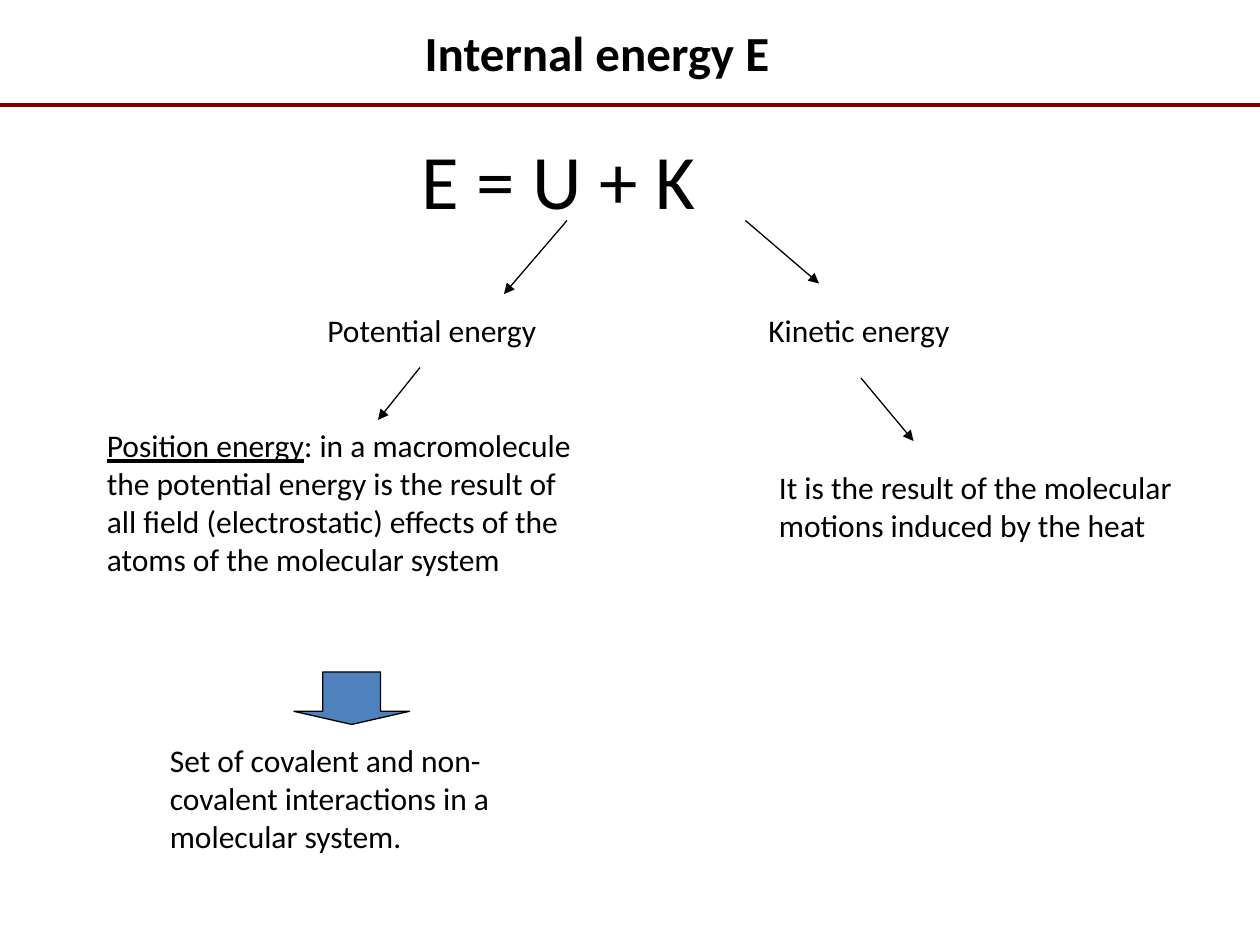
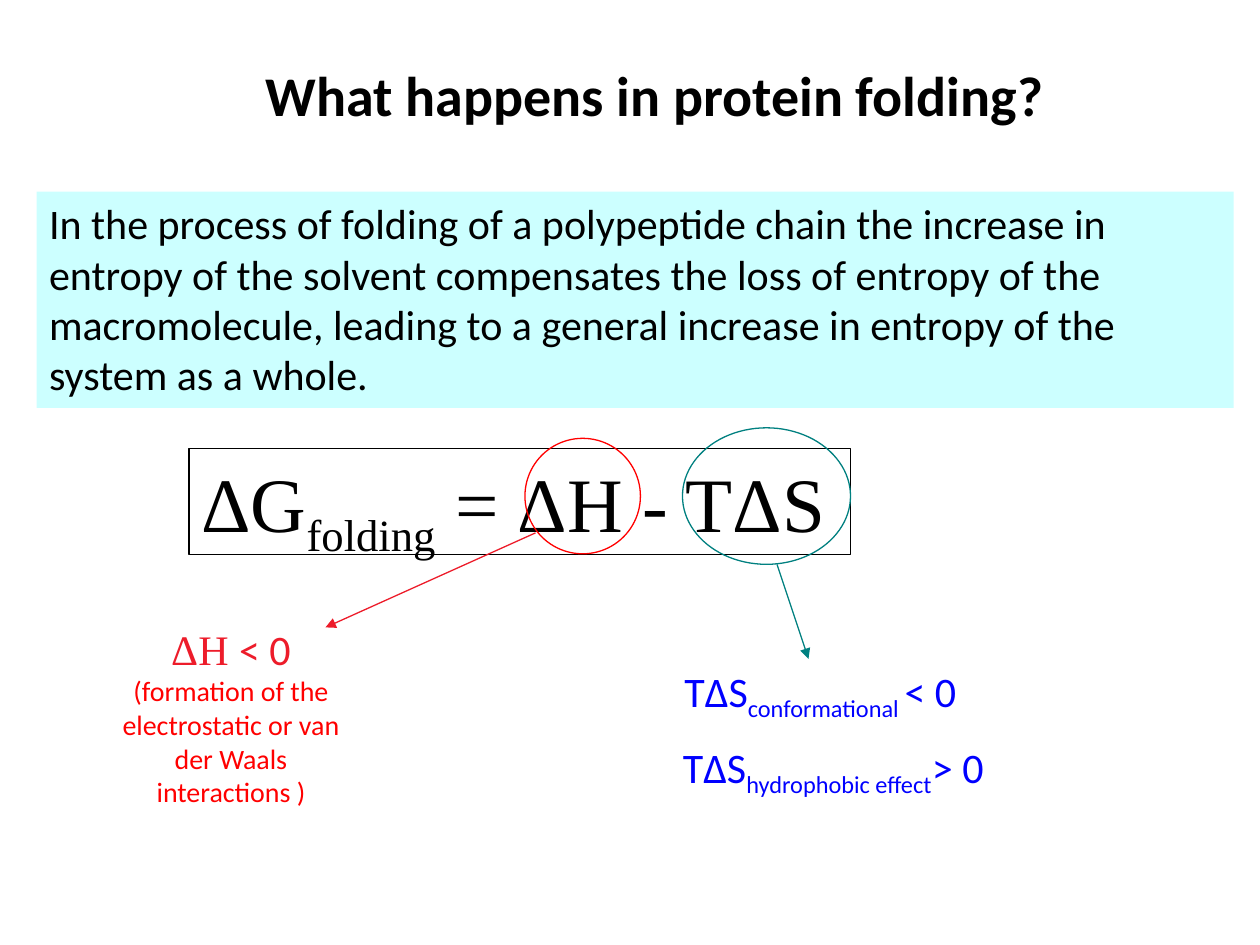
"""Build two slides on internal energy and protein folding."""
from lxml import etree
from pptx import Presentation
from pptx import util as u
from pptx.dml.color import RGBColor
from pptx.enum import shapes, text
from pptx.oxml.ns import qn

COLUMNS, ROWS = 120, 90
WIDTH, HEIGHT = u.Inches(10), u.Inches(7.5)
TITLE_ONLY = 5
SANS, SERIF = "Calibri", "Times New Roman"

BLACK = RGBColor(0x00, 0x00, 0x00)
MAROON = RGBColor(0x80, 0x00, 0x00)
STEEL = RGBColor(0x4F, 0x81, 0xBD)
PALE_CYAN = RGBColor(0xCC, 0xFF, 0xFF)
RED = RGBColor(0xFF, 0x00, 0x00)
CRIMSON = RGBColor(0xED, 0x1C, 0x2A)
TEAL = RGBColor(0x00, 0x80, 0x80)
BLUE = RGBColor(0x00, 0x00, 0xFF)


def x(column):
    """Return the distance of a grid column from the left edge."""
    return round(WIDTH * column / COLUMNS)


def y(row):
    """Return the distance of a grid row from the top edge."""
    return round(HEIGHT * row / ROWS)


def box(area):
    """Turn (column, row, columns, rows) into slide lengths."""
    column, row, columns, rows = area
    return x(column), y(row), x(columns), y(rows)


def style(run, size, color=BLACK, name=SANS, bold=False, underline=False, sub=False):
    """Format one run."""
    font = run.font
    font.size, font.name, font.bold = u.Pt(size), name, bold
    font.color.rgb = color
    if underline:
        font.underline = True
    if sub:
        run._r.get_or_add_rPr().set("baseline", "-25000")


def write(frame, paragraphs, align=text.PP_ALIGN.LEFT):
    """Fill a frame with paragraphs made of (wording, format) pieces."""
    frame.word_wrap = True
    frame.auto_size = text.MSO_AUTO_SIZE.NONE
    frame.vertical_anchor = text.MSO_ANCHOR.TOP
    for index, pieces in enumerate(paragraphs):
        paragraph = frame.add_paragraph() if index else frame.paragraphs[0]
        paragraph.alignment = align
        for wording, look in pieces:
            run = paragraph.add_run()
            run.text = wording
            style(run, **look)


def add_titled_slide(deck, wording, area, size):
    """Add a slide with a bold title at the given place."""
    slide = deck.slides.add_slide(deck.slide_layouts[TITLE_ONLY])
    title = slide.shapes.title
    title.left, title.top, title.width, title.height = box(area)
    write(title.text_frame, [[(wording, dict(size=size, bold=True))]])
    return slide


def add_text(slide, area, *paragraphs, align=text.PP_ALIGN.LEFT):
    """Add free text."""
    label = slide.shapes.add_textbox(*box(area))
    write(label.text_frame, paragraphs, align)


def add_figure(slide, kind, area, fill=None, outline=None):
    """Add a preset shape with an optional fill and thin outline."""
    figure = slide.shapes.add_shape(kind, *box(area))
    figure.shadow.inherit = False
    if fill is None:
        figure.fill.background()
    else:
        figure.fill.solid()
        figure.fill.fore_color.rgb = fill
    if outline is None:
        figure.line.fill.background()
    else:
        figure.line.color.rgb = outline
        figure.line.width = u.Pt(0.75)
    return figure


def add_line(slide, start, end, color=BLACK, weight=0.75, arrow=True):
    """Add a straight line, with an arrowhead at its end if wanted."""
    line = slide.shapes.add_connector(
        shapes.MSO_CONNECTOR.STRAIGHT, x(start[0]), y(start[1]), x(end[0]), y(end[1]))
    line.line.color.rgb = color
    line.line.width = u.Pt(weight)
    if arrow:
        etree.SubElement(line.line._get_or_add_ln(), qn("a:tailEnd"), type="triangle")
    etree.SubElement(line._element.spPr, qn("a:effectLst"))


def build_internal_energy(deck):
    """Split the internal energy into its potential and kinetic parts."""
    slide = add_titled_slide(deck, "Internal energy E", (39.25, 1.5, 41, 7), 28)
    add_line(slide, (0, 10), (COLUMNS, 10), MAROON, 2, arrow=False)
    add_text(slide, (39, 12, 34, 10), [("E = U + K", dict(size=44))])

    plain = dict(size=18)
    explanations = (
        ((30, 29, 35, 5), "Potential energy"),
        ((72, 29, 24, 5), "Kinetic energy"),
        ((73, 44, 40.5, 13), "It is the result of the molecular motions induced by the heat"),
        ((15, 70, 41, 13), "Set of covalent and non-covalent interactions in a molecular system."),
    )
    for area, wording in explanations:
        add_text(slide, area, [(wording, plain)])
    add_text(slide, (9, 40, 48, 21), [
        ("Position energy", dict(size=18, underline=True)),
        (": in a macromolecule the potential energy is the result of all field "
         "(electrostatic) effects of the atoms of the molecular system", plain)])

    for start, end in (((54, 21), (48, 28)), ((71, 21), (78, 27)),
                       ((40, 35), (36, 40)), ((82, 36), (87, 42))):
        add_line(slide, start, end)
    add_figure(slide, shapes.MSO_SHAPE.DOWN_ARROW, (28, 64, 11, 5), STEEL, BLACK
               ).adjustments[1] = 0.25


def build_protein_folding(deck):
    """Explain the signs of the terms in the free energy of folding."""
    slide = add_titled_slide(
        deck, "What happens in protein folding?", (24.1, 5.15, 78, 8), 32)
    statement = add_figure(slide, shapes.MSO_SHAPE.RECTANGLE, (3.5, 18.25, 114, 20.6), PALE_CYAN)
    write(statement.text_frame, [[(
        "In the process of folding of a polypeptide chain the increase in entropy of the "
        "solvent compensates the loss of entropy of the macromolecule, leading to a general "
        "increase in entropy of the system as a whole.", dict(size=24))]])

    formula = add_figure(slide, shapes.MSO_SHAPE.RECTANGLE, (18, 42.75, 63, 10.1), outline=BLACK)
    symbol = dict(size=44, name=SERIF)
    write(formula.text_frame, [[
        ("ΔG", symbol), ("folding", dict(symbol, sub=True)), (" = ΔH - TΔS", symbol)]])

    add_text(slide, (9, 58.8, 26, 19),
             [("ΔH ", dict(size=24, color=CRIMSON, name=SERIF)),
              ("< 0", dict(size=24, color=CRIMSON))],
             [("(formation of the electrostatic or van der Waals interactions )",
               dict(size=16, color=RED))],
             align=text.PP_ALIGN.CENTER)

    entropy = dict(size=24, color=BLUE)
    for area, source, sign in (((64, 62.75, 36, 6), "conformational ", "< 0"),
                               ((63.85, 70, 38, 6), "hydrophobic effect", "> 0")):
        add_text(slide, area, [
            ("TΔS", entropy), (source, dict(entropy, sub=True)), (sign, entropy)])

    add_figure(slide, shapes.MSO_SHAPE.OVAL, (50, 41.75, 11, 11), outline=RED)
    add_line(slide, (51, 50.75), (31, 59.75), CRIMSON)
    add_figure(slide, shapes.MSO_SHAPE.OVAL, (65, 40.75, 16, 13), outline=TEAL)
    add_line(slide, (74, 53.75), (77, 62.75), TEAL)


def main():
    """Build and save the deck."""
    deck = Presentation()
    deck.slide_width, deck.slide_height = WIDTH, HEIGHT
    build_internal_energy(deck)
    build_protein_folding(deck)
    deck.save("out.pptx")


if __name__ == "__main__":
    main()
